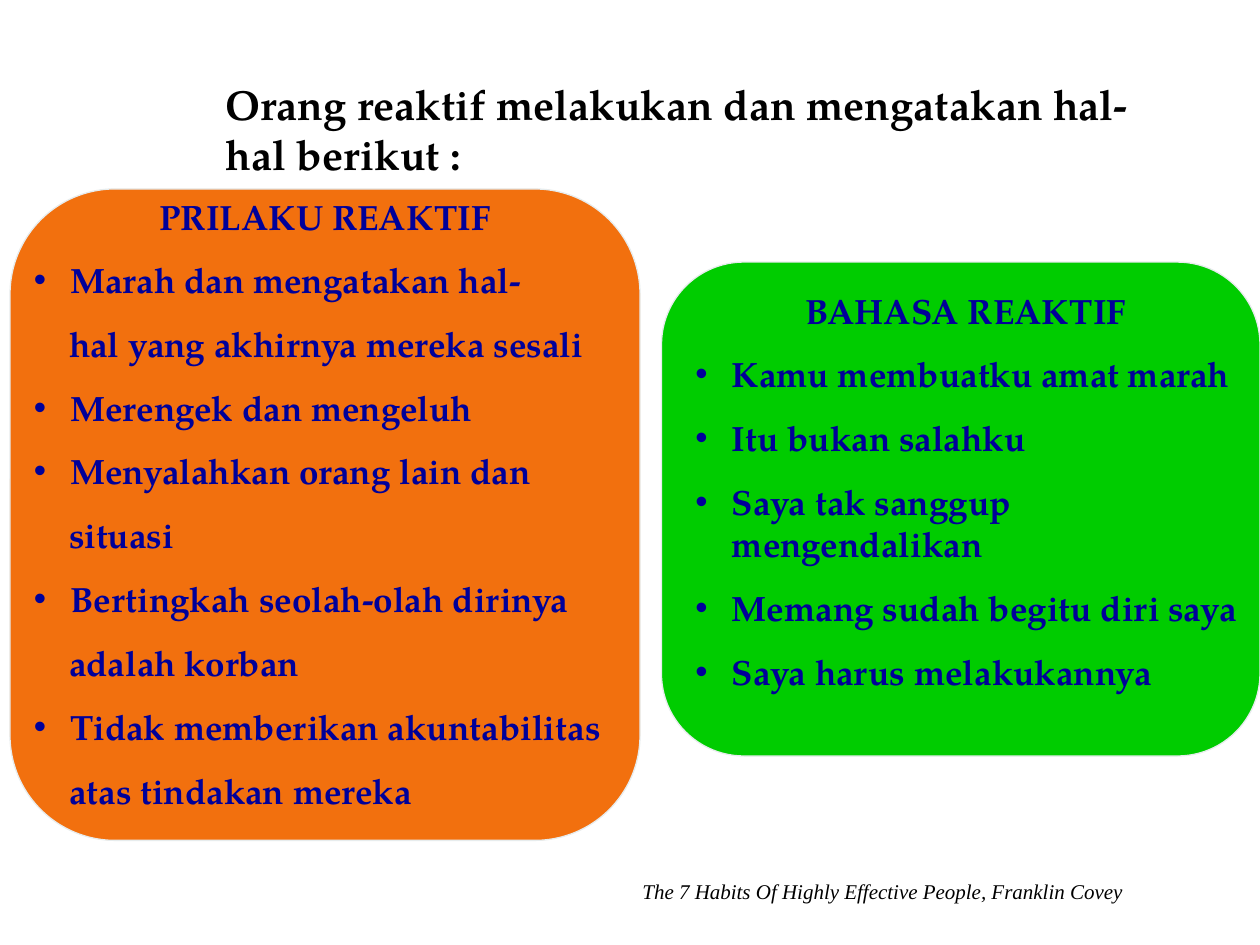
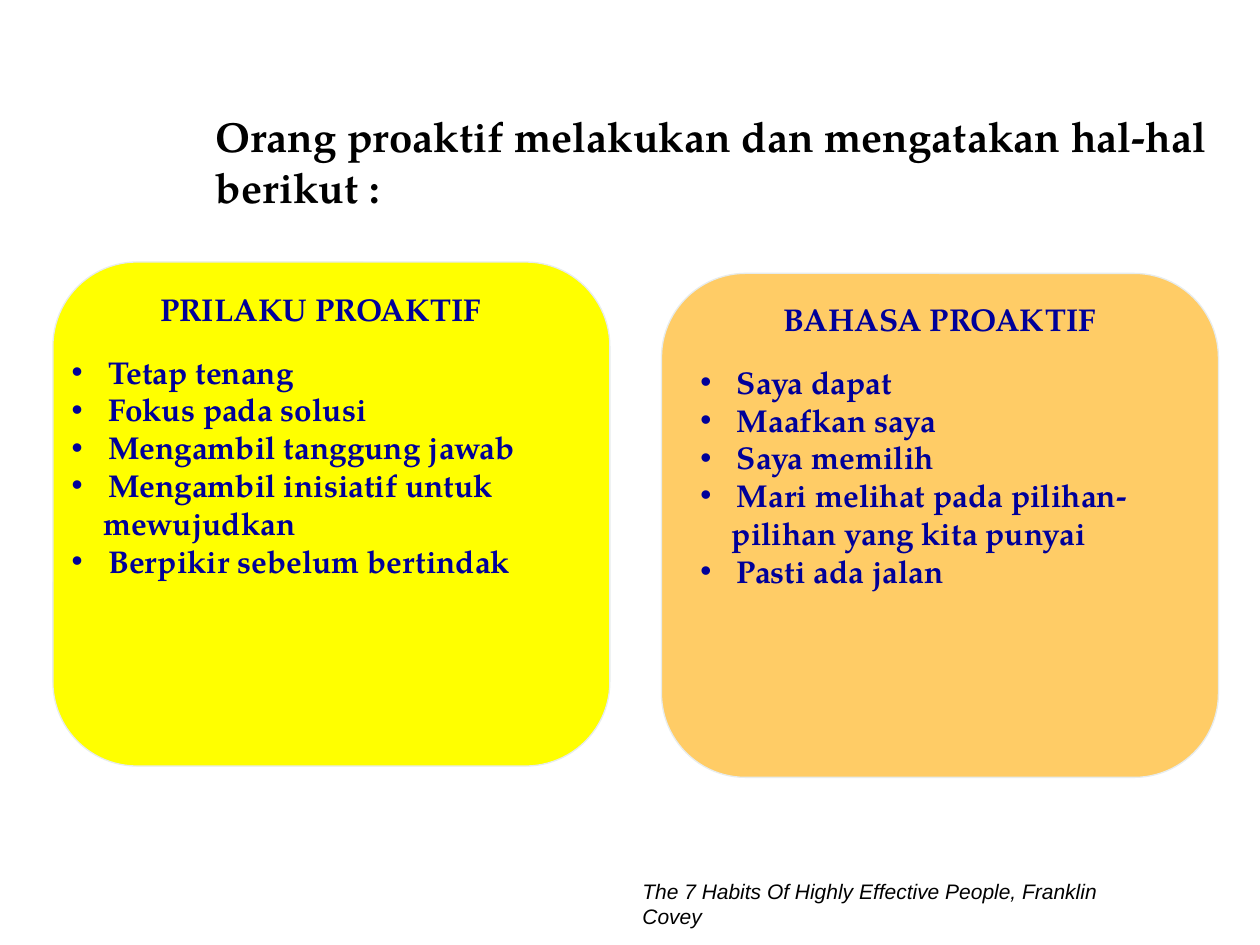
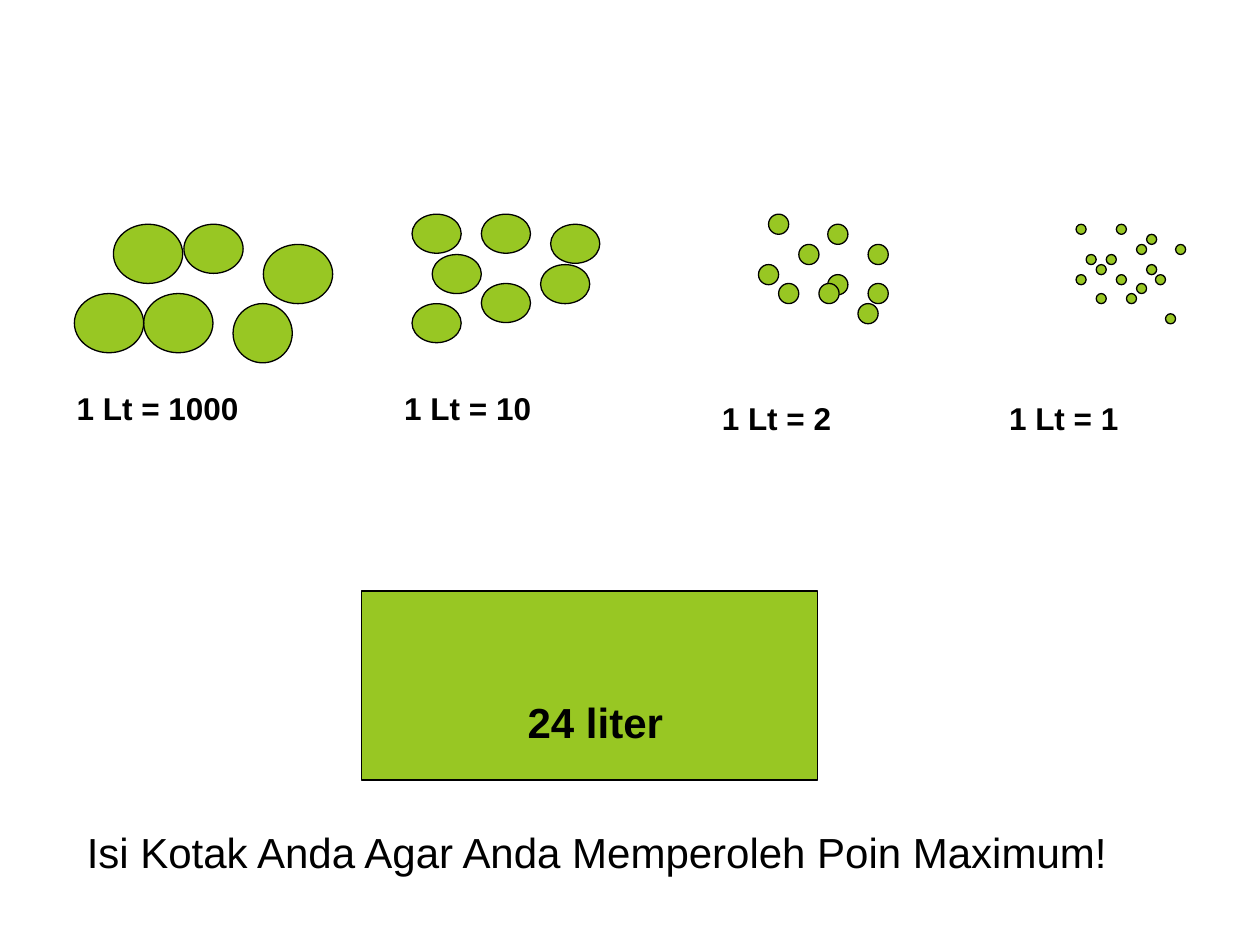
from dataclasses import dataclass
from typing import NamedTuple

import pptx
import pptx.dml.color
import pptx.enum.shapes
import pptx.enum.text
import pptx.oxml
import pptx.oxml.ns
import pptx.util
from lxml import etree

PX = 9144  # EMU per px, 100 px to the inch
BLACK, NAVY, GREEN, PALE = "000000", "000099", "98C723", "E7ECED"
SERIF, TIMES, SANS = "TeX Gyre Pagella", "Times New Roman", "Arial"
BULLET_INDENT = 29
SOURCE = "The 7 Habits Of Highly Effective People, Franklin Covey"

SHAPE = pptx.enum.shapes.MSO_SHAPE
ALIGN = pptx.enum.text.PP_ALIGN


class Box(NamedTuple):
    x: int
    y: int
    w: int
    h: int


class Para(NamedTuple):
    text: str
    bullet: bool = False
    indent: int = 0


@dataclass
class Panel:
    """A rounded card with a heading and bullets; each bullet lists its lines."""
    card: Box
    fill: str
    heading: str
    heading_box: Box
    bullets: list[tuple[str, ...]]
    bullets_box: Box


@dataclass
class HabitSlide:
    title: str
    title_box: Box
    source_font: str
    source_box: Box
    size: int
    space: float
    wrap_indent: int
    panels: list[Panel]


@dataclass
class Pile:
    """Stones as (x, y) corners, with one (w, h) for all of them."""
    stone: tuple[int, int]
    corners: list[tuple[int, int]]


class Label(NamedTuple):
    text: str
    x: int
    y: int


def rgb(color: str):
    return pptx.dml.color.RGBColor.from_string(color)


def emu(box: Box) -> list[int]:
    return [v * PX for v in box]


def add_bullet(p, color: str) -> None:
    pPr = p._p.get_or_add_pPr()
    qn = pptx.oxml.ns.qn
    clr = etree.SubElement(pPr, qn("a:buClr"))
    etree.SubElement(clr, qn("a:srgbClr"), val=color)
    etree.SubElement(pPr, qn("a:buFont"), typeface=SANS)
    etree.SubElement(pPr, qn("a:buChar"), char="•")


def write(tf, paras: list[Para], *, size: int, font: str, color: str = BLACK,
          bold: bool = False, italic: bool = False, align=ALIGN.LEFT,
          space: float = 0) -> None:
    tf.word_wrap = True
    tf.auto_size = pptx.enum.text.MSO_AUTO_SIZE.SHAPE_TO_FIT_TEXT
    tf.vertical_anchor = pptx.enum.text.MSO_ANCHOR.TOP
    for i, para in enumerate(paras):
        p = tf.add_paragraph() if i else tf.paragraphs[0]
        p.alignment = align
        p.space_before = pptx.util.Pt(space if i else 0)
        if para.indent:
            pPr = p._p.get_or_add_pPr()
            pPr.set("marL", str(para.indent * PX))
            pPr.set("indent", str(-para.indent * PX if para.bullet else 0))
        if para.bullet:
            add_bullet(p, color)
        r = p.add_run()
        r.text = para.text
        r.font.size = pptx.util.Pt(size)
        r.font.name = font
        r.font.bold = bold
        r.font.italic = italic
        r.font.color.rgb = rgb(color)


def add_text(slide, box: Box, text: str | list[Para], **fmt) -> None:
    paras = [Para(text)] if isinstance(text, str) else text
    write(slide.shapes.add_textbox(*emu(box)).text_frame, paras, **fmt)


def add_shape(slide, kind, box: Box, fill: str, line: str = BLACK):
    sp = slide.shapes.add_shape(kind, *emu(box))
    sp.shadow.inherit = False
    sp.fill.solid()
    sp.fill.fore_color.rgb = rgb(fill)
    sp.line.color.rgb = rgb(line)
    sp.line.width = pptx.util.Pt(0.75)
    return sp


def add_panel(slide, panel: Panel, habit: HabitSlide) -> None:
    card = add_shape(slide, SHAPE.ROUNDED_RECTANGLE, panel.card, panel.fill, PALE)
    card.adjustments[0] = 0.167
    fmt = dict(size=habit.size, font=SERIF, color=NAVY, bold=True)
    add_text(slide, panel.heading_box, panel.heading, align=ALIGN.CENTER, **fmt)
    paras = []
    for first, *rest in panel.bullets:
        paras.append(Para(first, True, BULLET_INDENT))
        paras += [Para(line, False, habit.wrap_indent) for line in rest]
    add_text(slide, panel.bullets_box, paras, space=habit.space, **fmt)


def add_habit_slide(prs, habit: HabitSlide) -> None:
    slide = prs.slides.add_slide(prs.slide_layouts[5])
    title = slide.shapes.title
    title.left, title.top, title.width, title.height = emu(habit.title_box)
    write(title.text_frame, [Para(habit.title)], size=24, font=SERIF, bold=True)
    add_text(slide, habit.source_box, SOURCE, size=12, font=habit.source_font,
             italic=True)
    for panel in habit.panels:
        add_panel(slide, panel, habit)


def add_stone_slide(prs) -> None:
    slide = prs.slides.add_slide(prs.slide_layouts[6])
    add_shape(slide, SHAPE.RECTANGLE, Box(287, 469, 362, 150), GREEN)
    add_text(slide, Box(390, 548, 165, 50), "24 liter", size=24, font=SANS,
             bold=True, align=ALIGN.CENTER)
    add_text(slide, Box(59, 651, 882, 50),
             "Isi Kotak Anda Agar Anda Memperoleh Poin Maximum!",
             size=24, font=SANS)
    for pile in PILES:
        for corner in pile.corners:
            add_shape(slide, SHAPE.OVAL, Box(*corner, *pile.stone), GREEN)
    for label in LABELS:
        add_text(slide, Box(label.x, label.y, 181, 40), label.text, size=18,
                 font=SANS, bold=True)


HABITS = [
    HabitSlide(
        "Orang reaktif melakukan dan mengatakan hal-hal berikut :",
        Box(169, 57, 781, 90), TIMES, Box(500, 692, 425, 30),
        size=20, space=12.5, wrap_indent=28,
        panels=[
            Panel(Box(8, 150, 500, 517), "F2700E",
                  "PRILAKU REAKTIF", Box(108, 150, 300, 44),
                  [("Marah dan mengatakan hal-", "hal yang akhirnya mereka sesali"),
                   ("Merengek dan mengeluh",),
                   ("Menyalahkan orang lain dan", "situasi"),
                   ("Bertingkah seolah-olah dirinya", "adalah korban"),
                   ("Tidak memberikan akuntabilitas", "atas tindakan mereka")],
                  Box(17, 200, 483, 449)),
            Panel(Box(525, 208, 475, 392), "00CC00",
                  "BAHASA REAKTIF", Box(608, 225, 317, 44),
                  [("Kamu membuatku amat marah",),
                   ("Itu bukan salahku",),
                   ("Saya tak sanggup mengendalikan",),
                   ("Memang sudah begitu diri saya",),
                   ("Saya harus melakukannya",)],
                  Box(542, 275, 458, 280)),
        ]),
    HabitSlide(
        "Orang proaktif melakukan dan mengatakan hal-hal berikut :",
        Box(161, 83, 814, 90), SANS, Box(500, 692, 425, 50),
        size=18, space=0, wrap_indent=25,
        panels=[
            Panel(Box(42, 208, 442, 400), "FFFF00",
                  "PRILAKU PROAKTIF", Box(100, 225, 309, 40),
                  [("Tetap tenang",),
                   ("Fokus pada solusi",),
                   ("Mengambil tanggung jawab",),
                   ("Mengambil inisiatif untuk", "mewujudkan"),
                   ("Berpikir sebelum bertindak",)],
                  Box(47, 275, 420, 190)),
            Panel(Box(525, 217, 442, 400), "FFCC66",
                  "BAHASA PROAKTIF", Box(583, 233, 326, 40),
                  [("Saya dapat",),
                   ("Maafkan saya",),
                   ("Saya memilih",),
                   ("Mari melihat pada pilihan-", "pilihan yang kita punyai"),
                   ("Pasti ada jalan",)],
                  Box(546, 283, 429, 190)),
        ]),
]

PILES = [
    Pile((55, 47), [(90, 178), (114, 233), (59, 233), (209, 194)]),
    Pile((47, 39), [(146, 178)]),
    Pile((47, 47), [(185, 241)]),
    Pile((39, 31), [(327, 170), (343, 202), (382, 225), (327, 241), (429, 210),
                    (437, 178), (382, 170)]),
    Pile((16, 16), [(610, 170), (634, 194), (657, 218), (681, 241), (618, 225),
                    (602, 210), (650, 225), (689, 225), (689, 194), (657, 178)]),
    Pile((8, 8), [(854, 178), (878, 202), (902, 225), (886, 178), (917, 218),
                  (910, 186), (902, 194), (854, 218), (886, 218), (910, 210),
                  (933, 194), (862, 202), (925, 249), (894, 233), (870, 233),
                  (870, 210)]),
]

LABELS = [
    Label("1 Lt = 1000", 51, 304),
    Label("1 Lt = 10", 311, 304),
    Label("1 Lt = 2", 563, 312),
    Label("1 Lt = 1", 791, 312),
]


def main() -> None:
    prs = pptx.Presentation()
    prs.slide_width, prs.slide_height = 1000 * PX, 750 * PX
    for habit in HABITS:
        add_habit_slide(prs, habit)
    add_stone_slide(prs)
    prs.save("out.pptx")


if __name__ == "__main__":
    main()
